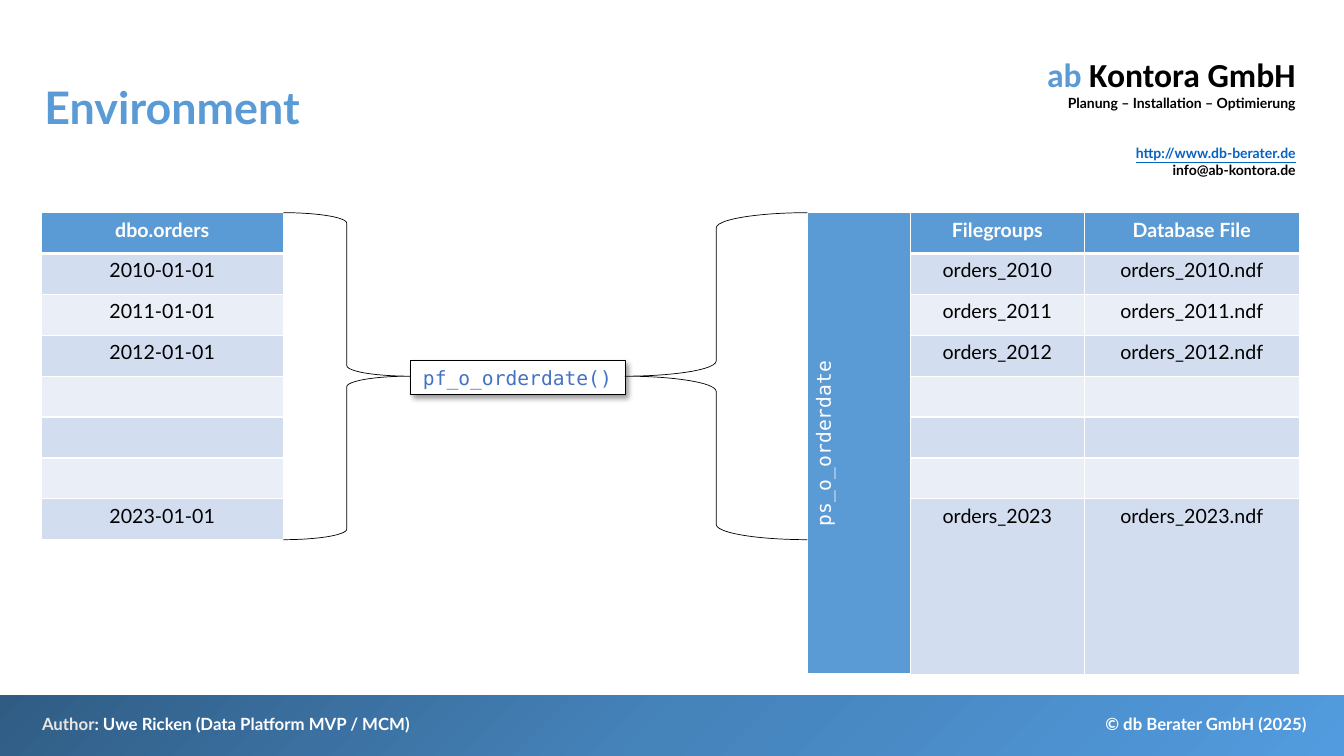
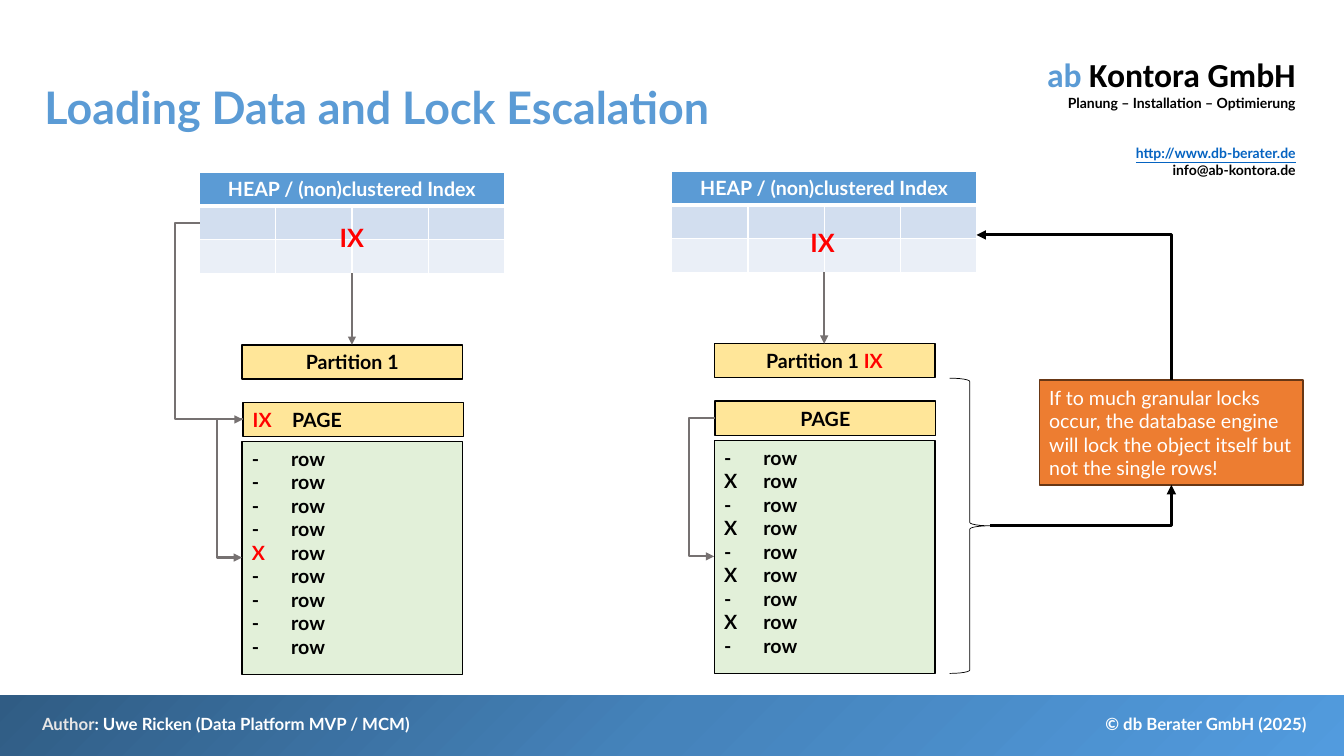
import pptx
import pptx.util
import pptx.dml.color
import pptx.enum.shapes
import pptx.enum.text
import pptx.oxml.ns
from lxml import etree

Cm, Pt = pptx.util.Cm, pptx.util.Pt
qn = pptx.oxml.ns.qn
KIND = pptx.enum.shapes.MSO_SHAPE
LINK = pptx.enum.shapes.MSO_CONNECTOR
ALIGN = pptx.enum.text.PP_ALIGN
ANCHOR = pptx.enum.text.MSO_ANCHOR

# Colours and fonts
BLUE, PALE, LIGHT = "5B9BD5", "D2DEEF", "EAEFF7"
BLACK, WHITE, RED, GREY = "000000", "FFFFFF", "FF0000", "767171"
YELLOW, GREEN, ORANGE, BROWN = "FFE699", "E2F0D9", "ED7D31", "683715"
BAND = [(0, "305C84"), (50, "4583BB"), (100, "529BDE")]
SANS, MONO = "Lato", "DejaVu Sans Mono"

# Shared text: paragraphs of (text, style) runs
HEAD = [
    [("ab ", {"size": 24, "font": "Calibri", "hue": BLUE}),
     ("Kontora GmbH", {"size": 24, "font": "Calibri"})],
    [("Planung – Installation – Optimierung", {})],
    [("http://www.db-berater.de", {"hue": "0563C1", "line": True})],
    [("info@ab-kontora.de", {})],
]
AUTHOR = [[("Author", {"hue": "E7E6E6"}),
           (": Uwe Ricken (Data Platform MVP / MCM)", {})]]
RIGHTS = [[("© db Berater GmbH (2025)", {})]]

# Slide 1: years None are rows left empty
YEARS = [2010, 2011, 2012, None, None, None, 2023]
DATES = [["dbo.orders"]] + [[f"{y}-01-01" if y else ""] for y in YEARS]
FILES = [["ps_o_orderdate", "Filegroups", "Database File"]] + [
    ["", f"orders_{y}", f"orders_{y}.ndf"] if y else [""] * 3 for y in YEARS]

# Slide 2: one dict for each column of boxes
TOP = "HEAP / (non)clustered Index"
LOCKS = [
    {"at": (0, 0), "part": [("Partition 1", {})], "mark": (7.37, 5.49),
     "page": [("IX", {"hue": RED}), ("\tPAGE", {})], "tab": True,
     "rows": "----X----", "hue": RED},
    {"at": (11.9, -0.03), "part": [("Partition 1 ", {}), ("IX", {"hue": RED})],
     "mark": (19.23, 5.61), "page": [("PAGE", {})], "tab": False,
     "rows": "-X-X-X-X-", "hue": BLACK},
]
NOTE = ("If to much granular locks occur, the database engine "
        "will lock the object itself but not the single rows!")


def rgb(code):
    return pptx.dml.color.RGBColor.from_string(code)


def sub(node, tag, **attrs):
    item = etree.SubElement(node, qn(tag))
    for key, value in attrs.items():
        item.set(key, str(value))
    return item


def write(frame, paras, size=14, hue=BLACK, bold=False, font=SANS,
          align=ALIGN.LEFT, tab=None):
    """Fill a text frame; run styles override the defaults."""
    for i, runs in enumerate(paras):
        para = frame.paragraphs[0] if i == 0 else frame.add_paragraph()
        para.alignment = align
        if tab:
            stops = sub(para._p.get_or_add_pPr(), "a:tabLst")
            sub(stops, "a:tab", pos=Cm(tab), algn="l")
        for text, style in runs:
            run = para.add_run()
            run.text = text
            face = run.font
            face.name = style.get("font", font)
            face.size = Pt(style.get("size", size))
            face.bold = bold
            face.color.rgb = rgb(style.get("hue", hue))
            if style.get("line"):
                face.underline = True


def label(slide, x, y, w, h, paras, **style):
    box = slide.shapes.add_textbox(Cm(x), Cm(y), Cm(w), Cm(h))
    box.text_frame.word_wrap = True
    write(box.text_frame, paras, **style)
    return box


def block(slide, x, y, w, h, fill=None, line=None, width=1,
          kind=KIND.RECTANGLE, paras=(), anchor=ANCHOR.MIDDLE, **style):
    box = slide.shapes.add_shape(kind, Cm(x), Cm(y), Cm(w), Cm(h))
    box.shadow.inherit = False
    if fill:
        box.fill.solid()
        box.fill.fore_color.rgb = rgb(fill)
    else:
        box.fill.background()
    if line:
        box.line.color.rgb = rgb(line)
        box.line.width = Pt(width)
    else:
        box.line.fill.background()
    box.text_frame.word_wrap = True
    box.text_frame.vertical_anchor = anchor
    write(box.text_frame, paras, **style)
    return box


def brace(slide, x, y, w, h, kind=KIND.RIGHT_BRACE):
    block(slide, x, y, w, h, line=BLACK, width=0.5, kind=kind)


def arrow(slide, start, end, mid=None, turn=False, hue=GREY, width=1.5,
          tip="a:tailEnd"):
    """Straight by default; mid is the x of a two-bend run; turn bends once."""
    kind = LINK.ELBOW if turn or mid is not None else LINK.STRAIGHT
    line = slide.shapes.add_connector(kind, *map(Cm, start + end))
    line.line.color.rgb = rgb(hue)
    line.line.width = Pt(width)
    props = line.element.spPr
    shape = props.find(qn("a:prstGeom"))
    if turn:
        shape.set("prst", "bentConnector2")
    elif mid is not None:
        ratio = (mid - start[0]) / (end[0] - start[0])
        guides = shape.find(qn("a:avLst"))
        if guides is None:
            guides = sub(shape, "a:avLst")
        sub(guides, "a:gd", name="adj1", fmla=f"val {round(ratio * 100000)}")
    sub(props.find(qn("a:ln")), tip, type="triangle")
    sub(props, "a:effectLst")


def edge(cell, head):
    props = cell._tc.get_or_add_tcPr()
    for side in "LRTB":
        width = 3 if head and side == "B" else 1
        line = sub(props, "a:ln" + side, w=Pt(width))
        sub(sub(line, "a:solidFill"), "a:srgbClr", val=WHITE)


def grid(slide, x, y, cols, high, data, merge=None, size=14):
    """Banded table; merge is the last cell of a block from the corner."""
    shape = slide.shapes.add_table(len(data), len(cols), Cm(x), Cm(y),
                                   Cm(sum(cols)), Cm(high * len(data)))
    table = shape.table
    for col, wide in zip(table.columns, cols):
        col.width = Cm(wide)
    for r, texts in enumerate(data):
        table.rows[r].height = Cm(high)
        for c, text in enumerate(texts):
            cell = table.cell(r, c)
            edge(cell, r == 0)
            cell.fill.solid()
            fill = BLUE if r == 0 else PALE if r % 2 else LIGHT
            cell.fill.fore_color.rgb = rgb(fill)
            if text:
                side = text.startswith("ps_")
                write(cell.text_frame, [[(text, {})]], bold=r == 0 and not side,
                      hue=BLACK if r else WHITE, font=MONO if side else SANS,
                      align=ALIGN.CENTER)
            else:
                cell.text_frame.paragraphs[0].font.size = Pt(size)
    if merge:
        table.cell(0, 0).merge(table.cell(*merge))
    return table


def frame(slide, layout):
    """Build the header and footer and move them to the layout."""
    head = label(slide, 26.04, 1.24, 6.86, 3.43, HEAD, size=10, bold=True,
                 align=ALIGN.RIGHT)
    head.text_frame.paragraphs[2].space_before = Pt(24)
    band = block(slide, 0, 17.52, 33.87, 1.53)
    band.fill.gradient()
    fill = band.element.spPr.find(qn("a:gradFill"))
    for part in list(fill):
        fill.remove(part)
    stops = sub(fill, "a:gsLst")
    for spot, hue in BAND:
        sub(sub(stops, "a:gs", pos=spot * 1000), "a:srgbClr", val=hue)
    sub(sub(fill, "a:path", path="circle"), "a:fillToRect", r=100000, b=100000)
    foot = {"size": 12, "hue": WHITE, "bold": True}
    right = label(slide, 26.8, 17.86, 6.38, 0.76, RIGHTS, align=ALIGN.RIGHT,
                  **foot)
    left = label(slide, 0.81, 17.86, 13.46, 0.76, AUTHOR, **foot)
    for n, shape in enumerate((head, band, right, left), 20):
        shape.element.nvSpPr.cNvPr.set("id", str(n))
        layout.shapes.element.append(shape.element)


def start(deck, text):
    slide = deck.slides.add_slide(deck.slide_layouts[5])
    title = slide.shapes.title
    title.left, title.top, title.width, title.height = map(
        Cm, (0.94, 1.22, 24, 3.1))
    body = title.text_frame
    body.word_wrap = True
    body.vertical_anchor = ANCHOR.MIDDLE
    body.margin_left = body.margin_right = Cm(0.18)
    body.margin_top = body.margin_bottom = Cm(0.1)
    write(body, [[(text, {})]], size=32, hue=BLUE, bold=True)
    body.paragraphs[0].line_spacing = 0.9
    return slide


def orders(slide):
    top, high = 5.36, 1.03
    tall = high * len(DATES)
    grid(slide, 1.04, top, [6.1], high, DATES, size=18)
    func = block(slide, 10.34, 9.09, 5.41, 0.86, WHITE, BLACK, 0.5,
                 paras=[[("pf_o_orderdate()", {})]], hue="4472C4", font=MONO,
                 align=ALIGN.CENTER)
    glow = sub(func.element.spPr.find(qn("a:effectLst")), "a:outerShdw",
               blurRad=Pt(4), dist=Pt(3), dir=45 * 60000, algn="tl")
    sub(sub(glow, "a:srgbClr", val=BLACK), "a:alpha", val=40000)
    table = grid(slide, 20.35, top, [2.59, 4.39, 5.41], high, FILES,
                 merge=(len(FILES) - 1, 0), size=18)
    scheme = table.cell(0, 0)
    scheme.vertical_anchor = ANCHOR.MIDDLE
    scheme._tc.get_or_add_tcPr().set("vert", "vert270")
    brace(slide, 7.14, top, 3.2, tall)
    brace(slide, 15.75, top, 4.6, tall, KIND.LEFT_BRACE)


def locks(slide):
    wide, high, tab = 5.56, 0.86, 0.99
    bold = {"bold": True, "line": BLACK}
    for col in LOCKS:
        dx, dy = col["at"]
        x, y = dx + 6.1, dy + 8.69
        grid(slide, dx + 5.03, dy + 4.34, [1.92] * 4, 0.85,
             [[TOP, "", "", ""], [""] * 4, [""] * 4], merge=(0, 3), size=10)
        block(slide, x, y, wide, high, YELLOW, paras=[col["part"]],
              align=ALIGN.CENTER, **bold)
        rows = [[(m, {"hue": col["hue"] if m == "X" else BLACK}),
                 ("\trow", {})] for m in col["rows"]]
        block(slide, x, y + 2.44, wide, 5.87, GREEN, paras=rows, tab=tab,
              anchor=ANCHOR.TOP, **bold)
        block(slide, x + 0.02, y + 1.45, wide, high, YELLOW,
              paras=[col["page"]], tab=tab if col["tab"] else None,
              align=ALIGN.LEFT if col["tab"] else ALIGN.CENTER, **bold)
        arrow(slide, (x + 0.02, y + 1.88), (x, y + 5.36), mid=x - 0.64)
        arrow(slide, (dx + 8.87, dy + 6.88), (dx + 8.87, y))
        label(slide, *col["mark"], 3, 1.02, [[("IX", {})]], size=18, hue=RED,
              bold=True, align=ALIGN.CENTER)
    arrow(slide, (5.03, 5.61), (6.12, 10.57), mid=4.42)

    # Escalation from the rows to the table
    block(slide, 26.19, 9.58, 6.65, 2.64, ORANGE, BROWN,
          paras=[[(NOTE, {})]], hue=WHITE)
    brace(slide, 23.93, 9.53, 1.02, 7.44)
    thick = {"turn": True, "hue": BLACK, "width": 2.25}
    arrow(slide, (24.95, 13.25), (29.52, 12.22), **thick)
    arrow(slide, (24.61, 5.92), (29.52, 9.58), tip="a:headEnd", **thick)


def main():
    deck = pptx.Presentation()
    deck.slide_width, deck.slide_height = Cm(33.87), Cm(19.05)
    first = start(deck, "Environment")
    frame(first, deck.slide_layouts[5])
    orders(first)
    locks(start(deck, "Loading Data and Lock Escalation"))
    deck.save("out.pptx")


if __name__ == "__main__":
    main()
